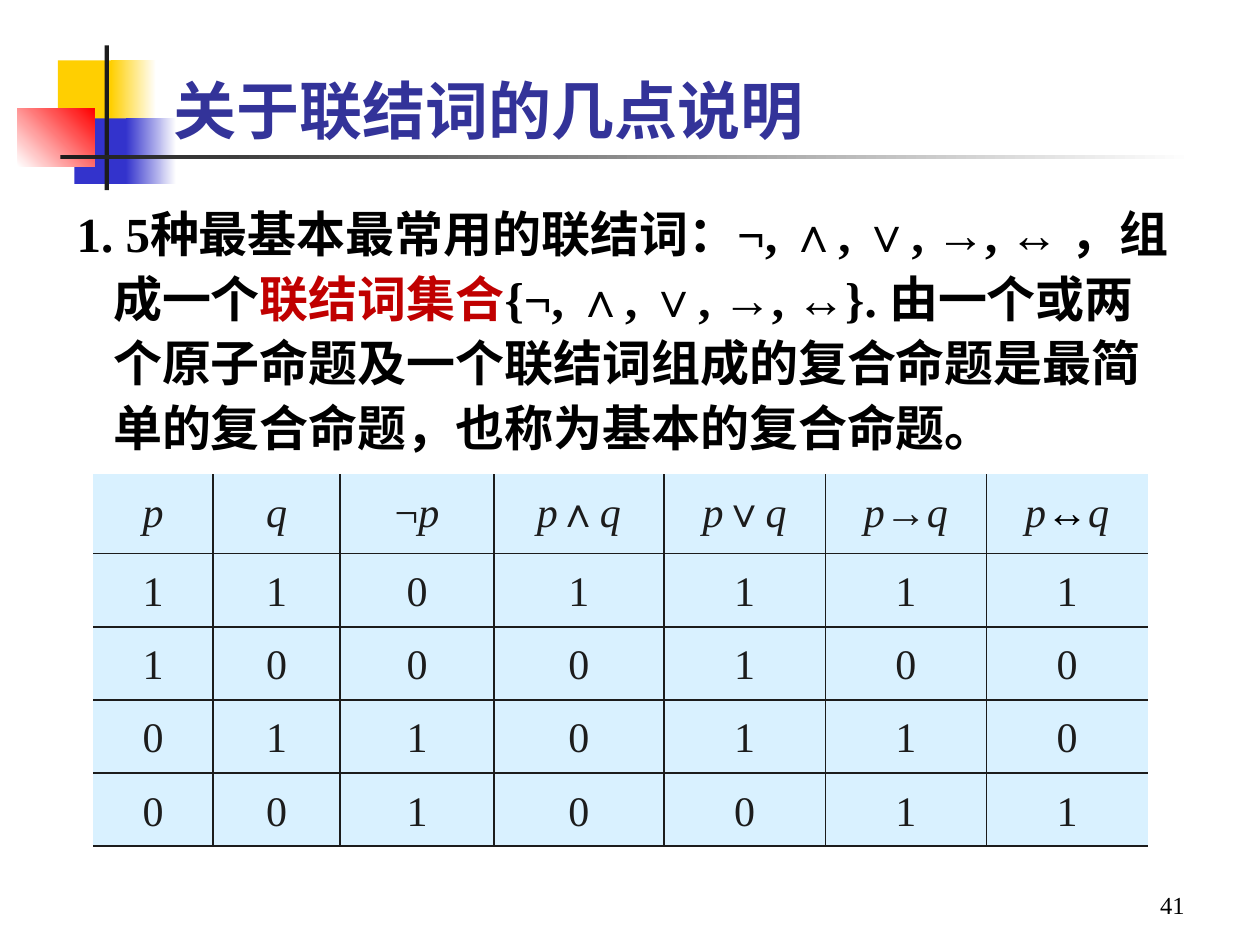
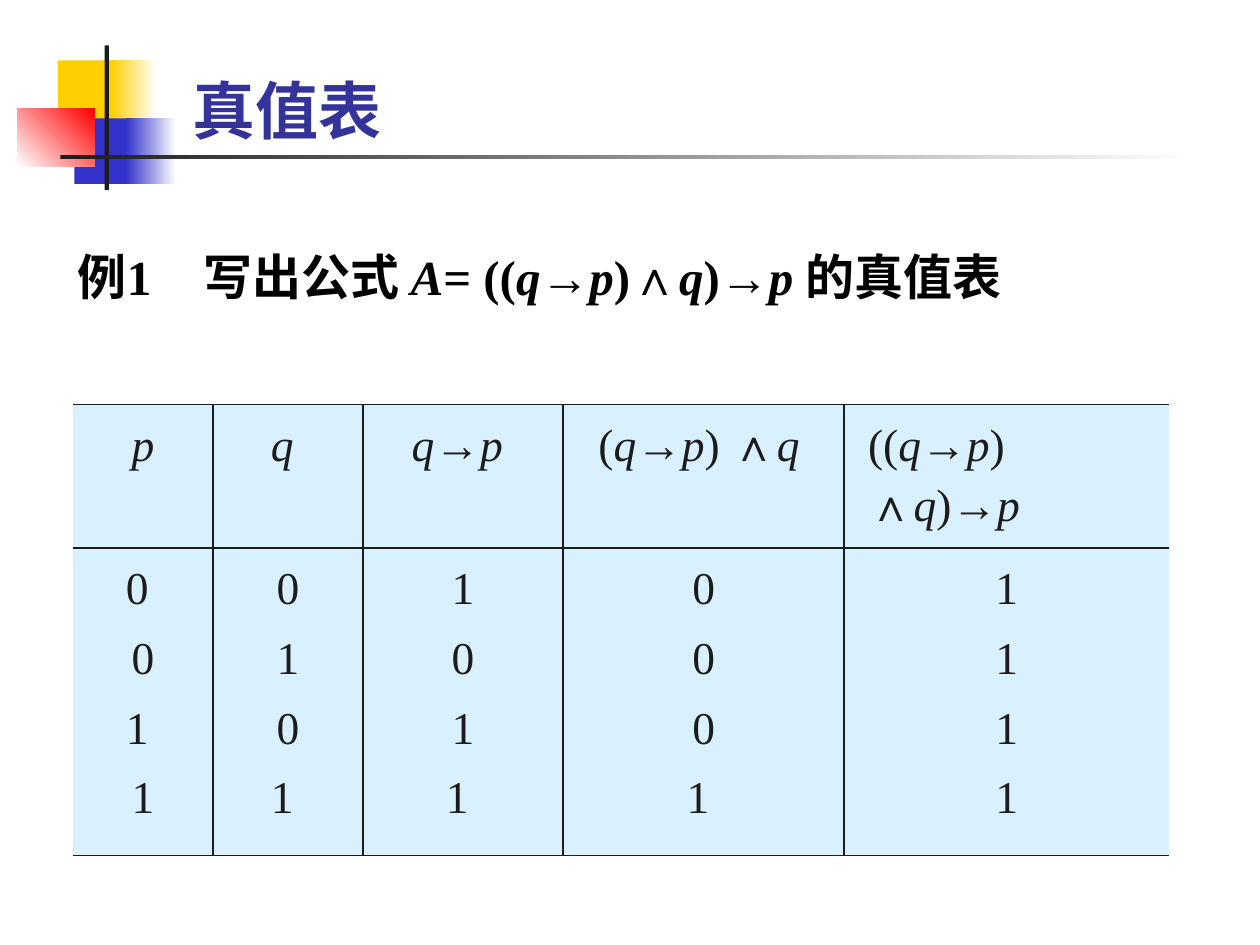
import itertools

import lxml.etree
import pptx
import pptx.dml.color
import pptx.enum.shapes
import pptx.enum.text
import pptx.oxml.ns
import pptx.util

# The page is a grid of 100 columns by 75 rows; places and sizes count its cells.
COLUMNS, ROWS = 100, 75
CELL = pptx.util.Inches(0.1)

COLORS = {
    "ink": "1C1C1C",
    "black": "000000",
    "white": "FFFFFF",
    "title": "333399",
    "accent": "C00000",
    "yellow": "FFCF01",
    "blue": "3333CC",
    "red": "FF0000",
    "cell": "D9F1FF",
}
SERIF, TITLE_FONT, CJK = "Times New Roman", "Lato", "Noto Sans CJK SC"
VARIABLES = "pqA"
ALIGN = pptx.enum.text.PP_ALIGN
ANCHOR = pptx.enum.text.MSO_ANCHOR
SIDES = {"left": "a:lnL", "right": "a:lnR", "top": "a:lnT", "bottom": "a:lnB"}


def grid(*cells):
    return [round(cell * CELL) for cell in cells]


def rgb(name):
    return pptx.dml.color.RGBColor.from_string(COLORS[name])


def add_child(parent, tag, **attributes):
    child = lxml.etree.SubElement(parent, pptx.oxml.ns.qn(tag))
    for key, value in attributes.items():
        child.set(key, str(value))
    return child


def add_span(para, text, size=28, font=SERIF, color="black", bold=False,
             italic=False, shadow=False):
    span = para.add_run()
    span.text = text
    span.font.size = pptx.util.Pt(size)
    span.font.bold, span.font.italic = bold, italic
    span.font.color.rgb = rgb(color)
    properties = span.font._element
    if shadow:
        effects = add_child(properties, "a:effectLst")
        outer = add_child(effects, "a:outerShdw", dist=25400, dir=2700000)
        add_child(outer, "a:srgbClr", val=COLORS["ink"])
    span.font.name = font
    add_child(properties, "a:ea", typeface=CJK)


def add_formula(para, text, **style):
    """Write text with its variables in italics."""
    for italic, letters in itertools.groupby(text, lambda sign: sign in VARIABLES):
        add_span(para, "".join(letters), italic=italic, **style)


def set_paragraph(para, align=ALIGN.LEFT, line=None, before=0, indent=0, hanging=0):
    para.alignment = align
    para.line_spacing = line
    para.space_before = pptx.util.Pt(before)
    properties = para._p.get_or_add_pPr()
    left, first = grid(indent + hanging, -hanging)
    properties.set("marL", str(left))
    properties.set("indent", str(first))


def add_text_box(page, place, anchor=ANCHOR.TOP, **layout):
    """Add a text box and return its first paragraph."""
    frame = page.shapes.add_textbox(*grid(*place)).text_frame
    frame.word_wrap = True
    frame.vertical_anchor = anchor
    para = frame.paragraphs[0]
    set_paragraph(para, **layout)
    return para


def add_block(page, place, start, end=None, angle=0):
    """Add a rectangle, plain or fading from start to end."""
    block = page.shapes.add_shape(
        pptx.enum.shapes.MSO_SHAPE.RECTANGLE, *grid(*place))
    block.shadow.inherit = False
    block.line.fill.background()
    if end is None:
        block.fill.solid()
        block.fill.fore_color.rgb = rgb(start)
        return
    block.fill.gradient()
    block.fill.gradient_angle = angle
    for stop, color in zip(block.fill.gradient_stops, (start, end)):
        stop.color.rgb = rgb(color)


def add_ornament(page):
    add_block(page, (4.6, 4.8, 4.8, 5.2), "yellow")
    add_block(page, (8.8, 4.8, 3.6, 5.2), "yellow", "white")
    add_block(page, (5.9, 9.4, 4.6, 5.2), "blue")
    add_block(page, (10, 9.4, 4, 5.2), "blue", "white")
    add_block(page, (1.4, 8.6, 6.1, 4.6), "white", "red", angle=45)
    add_block(page, (8.3, 3.6, 0.35, 11.5), "ink")
    add_block(page, (4.8, 12.3, 90, 0.3), "ink", "white")


def add_page(deck, title, place, font):
    page = deck.slides.add_slide(deck.slide_layouts[6])
    add_ornament(page)
    para = add_text_box(page, place, anchor=ANCHOR.BOTTOM)
    add_span(para, title, size=36, font=font, color="title", bold=True, shadow=True)
    return page


def set_borders(cell, visible):
    properties = cell._tc.get_or_add_tcPr()
    for side, tag in SIDES.items():
        line = add_child(properties, tag, w=pptx.util.Pt(1))
        if side in visible:
            fill = add_child(line, "a:solidFill")
            add_child(fill, "a:srgbClr", val=COLORS["ink"])
        else:
            add_child(line, "a:noFill")


def add_truth_table(page, place, widths, heights, rows, size, top_line, indents=None):
    """Add a table; a line break in an entry starts a new paragraph."""
    frame = page.shapes.add_table(
        len(rows), len(widths), *grid(*place, sum(widths), sum(heights)))
    table = frame.table
    for column, width in zip(table.columns, grid(*widths)):
        column.width = width
    for row, height in zip(table.rows, grid(*heights)):
        row.height = height
    for (r, entries) in enumerate(rows):
        for (c, entry) in enumerate(entries):
            cell = table.cell(r, c)
            visible = {"bottom"}
            if r or top_line:
                visible.add("top")
            if c:
                visible.add("left")
            if c < len(widths) - 1:
                visible.add("right")
            set_borders(cell, visible)
            cell.fill.solid()
            cell.fill.fore_color.rgb = rgb("cell")
            indent = (indents or {}).get((r, c))
            align = ALIGN.CENTER if indent is None else ALIGN.LEFT
            for number, text in enumerate(entry.split("\n")):
                frame = cell.text_frame
                para = frame.add_paragraph() if number else frame.paragraphs[0]
                set_paragraph(para, align, line=1.2, before=size / 5,
                              indent=indent or 0)
                before, arrow, after = text.partition("↔")
                add_formula(para, before, size=size, color="ink")
                if arrow:
                    add_span(para, arrow, size=size, bold=True)
                    add_formula(para, after, size=size, color="ink")


def add_connectives_page(deck):
    page = add_page(deck, "关于联结词的几点说明", (12.8, -0.3, 90, 12.5), TITLE_FONT)
    para = add_text_box(page, (5.1, 15.2, 89, 23.9),
                        line=1.1, before=8.4, hanging=2.9)
    add_span(para, "1. 5种最基本最常用的联结词：¬, ∧, ∨, →, ↔ ，组成一个", bold=True)
    add_span(para, "联结词集合", color="accent", bold=True)
    add_span(para, "{¬, ∧, ∨, →, ↔}. 由一个或两个原子命题及一个联结词组成的"
                   "复合命题是最简单的复合命题，也称为基本的复合命题。", bold=True)
    rows = [["p", "q", "¬p", "p∧q", "p∨q", "p→q", "p↔q"],
            "1101111", "1000100", "0110110", "0010011"]
    add_truth_table(page, (7.4, 37.65), [9.5, 10.1, 12.2, 13.5] + [12.8] * 3,
                    [6.3] + [5.8] * 4, rows, size=24, top_line=False)
    number = add_text_box(page, (71.7, 68.3, 23.3, 5.2),
                          anchor=ANCHOR.BOTTOM, align=ALIGN.RIGHT)
    add_span(number, "41", size=14)


def add_example_page(deck):
    page = add_page(deck, "真值表", (14.3, 2.1, 90, 10.1), CJK)
    para = add_text_box(page, (5.2, 18.6, 86.6, 8.7), line=1.1, before=14)
    stops = add_child(para._p.get_or_add_pPr(), "a:tabLst")
    add_child(stops, "a:tab", pos=grid(9.7)[0], algn="l")
    add_formula(para, "例1\t写出公式 A= ((q→p)∧q)→p 的真值表", bold=True)
    rows = [["p", "q ", "q→p ", "(q→p) ∧q", "((q→p) ∧q)→p"],
            ["0 \n0\n1 \n1", "0\n1\n0\n1 ", "1\n0\n1\n1 ", "0\n0\n0\n1 ", "1\n1\n1\n1"]]
    add_truth_table(page, (5.8, 32.1), [11.1, 11.9, 15.9, 22.3, 25.8],
                    [10.6, 24.4], rows, size=26, top_line=True,
                    indents={(0, 3): 1.8, (0, 4): 0.9})


def main():
    deck = pptx.Presentation()
    deck.slide_width, deck.slide_height = grid(COLUMNS, ROWS)
    add_connectives_page(deck)
    add_example_page(deck)
    deck.save("out.pptx")


if __name__ == "__main__":
    main()
